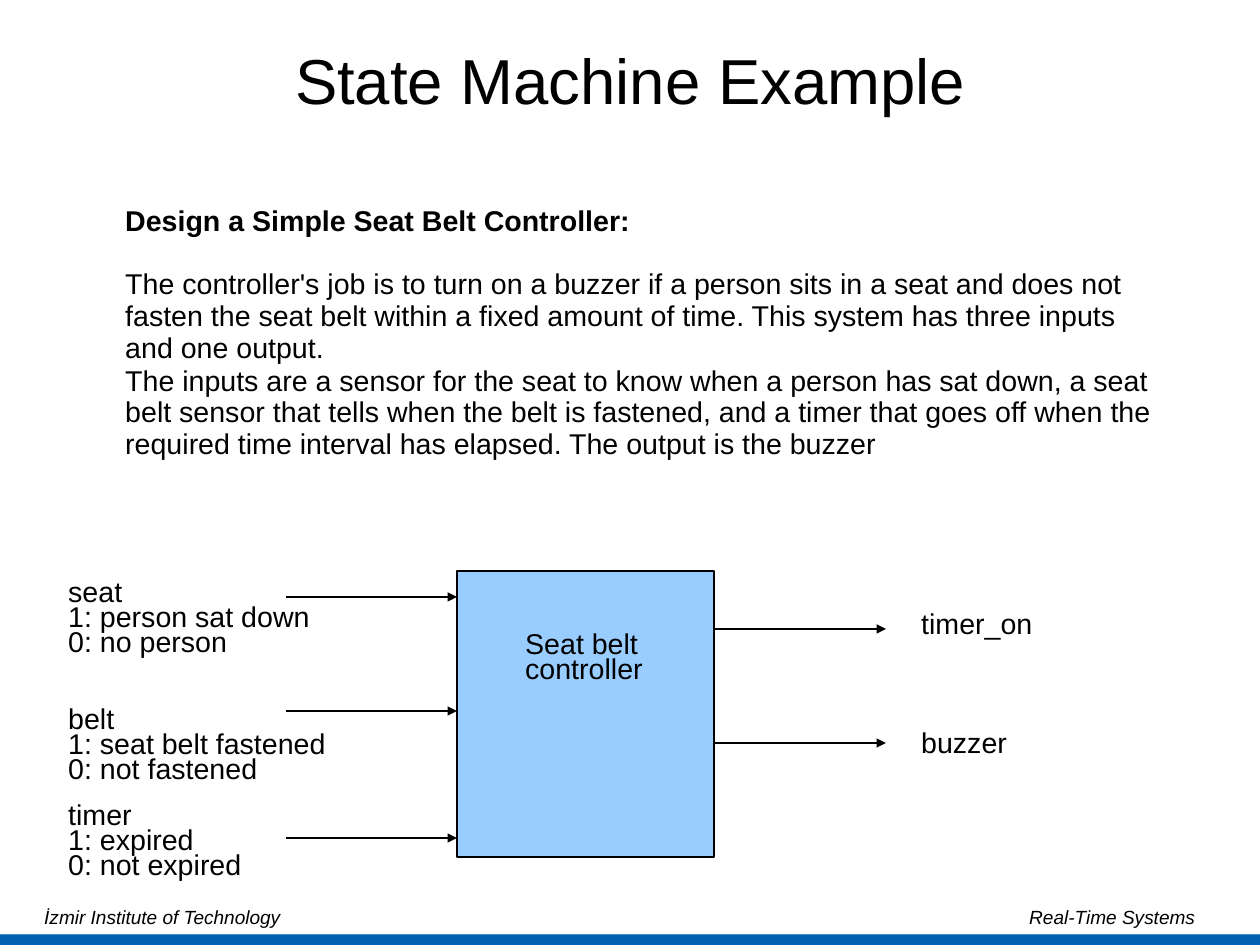
from lxml.etree import SubElement
from pptx import Presentation
from pptx.dml.color import RGBColor
from pptx.enum.shapes import MSO_CONNECTOR, MSO_SHAPE
from pptx.enum.text import MSO_ANCHOR, MSO_AUTO_SIZE, PP_ALIGN
from pptx.oxml.ns import qn
from pptx.util import Emu, Pt

COLORS = {"text": "000000", "line": "000000", "block": "99CCFF", "bar": "0062B1"}
FONT = "Arial"


def px(length):
    return Emu(length * 8000)


def color(name):
    return RGBColor.from_string(COLORS[name])


def write(paragraph, text, size=18, bold=False, italic=False, spacing=0.72,
          before=0.0, after=0.1, align=PP_ALIGN.LEFT, right_tab=None):
    paragraph.text = text
    paragraph.alignment = align
    paragraph.line_spacing = spacing
    paragraph.space_before = Pt(before)
    paragraph.space_after = Pt(after)
    if right_tab:
        stops = SubElement(paragraph._p.get_or_add_pPr(), qn("a:tabLst"))
        SubElement(stops, qn("a:tab"), pos=str(px(right_tab)), algn="r")
    font = paragraph.font
    font.name = FONT
    font.size = Pt(size)
    font.bold = bold
    font.italic = italic
    font.color.rgb = color("text")


class Diagram:
    def __init__(self, slide):
        self.slide = slide
        self.shapes = slide.shapes

    def title(self, text, left, top, width, height):
        heading = self.shapes.title
        heading.left, heading.top = px(left), px(top)
        heading.width, heading.height = px(width), px(height)
        frame = heading.text_frame
        frame.margin_left = frame.margin_right = 0
        frame.margin_top = frame.margin_bottom = 0
        frame.vertical_anchor = MSO_ANCHOR.MIDDLE
        frame.auto_size = MSO_AUTO_SIZE.NONE
        write(frame.paragraphs[0], text, size=40, align=PP_ALIGN.CENTER)

    def box(self, kind, left, top, width, height, fill, line):
        box = self.shapes.add_shape(kind, px(left), px(top), px(width), px(height))
        box.shadow.inherit = False
        box.fill.solid()
        box.fill.fore_color.rgb = color(fill)
        box.line.color.rgb = color(line)
        box.line.width = Pt(0.75)
        return box

    def text(self, paragraphs, left, top, width, height, **style):
        area = self.shapes.add_textbox(px(left), px(top), px(width), px(height))
        frame = area.text_frame
        frame.word_wrap = True
        for index, (words, own_style) in enumerate(paragraphs):
            paragraph = frame.add_paragraph() if index else frame.paragraphs[0]
            before = 0.1 if index else 0
            write(paragraph, words, **{"before": before, **style, **own_style})

    def label(self, lines, left, top, width, height):
        self.text([(line, {}) for line in lines], left, top, width, height)

    def arrow(self, start, end, y):
        arrow = self.shapes.add_connector(
            MSO_CONNECTOR.STRAIGHT, px(start), px(y), px(end), px(y))
        arrow.line.color.rgb = color("line")
        arrow.line.width = Pt(0.75)
        SubElement(arrow.line._get_or_add_ln(), qn("a:tailEnd"), type="triangle")
        SubElement(arrow._element.spPr, qn("a:effectLst"))


def main():
    deck = Presentation()
    deck.slide_width, deck.slide_height = px(1260), px(945)
    diagram = Diagram(deck.slides.add_slide(deck.slide_layouts[5]))

    footer_bar = diagram.box(MSO_SHAPE.ROUNDED_RECTANGLE, 0, 935, 1260, 10, "bar", "bar")
    footer_bar.adjustments[0] = 0.02
    diagram.title("State Machine Example", 93, 35, 1074, 107)

    task = [
        ("Design a Simple Seat Belt Controller:", {"bold": True}),
        ("The controller's job is to turn on a buzzer if a person sits in a seat "
         "and does not fasten the seat belt within a fixed amount of time. "
         "This system has three inputs and one output.", {"before": 20}),
        ("The inputs are a sensor for the seat to know when a person has sat down, "
         "a seat belt sensor that tells when the belt is fastened, and a timer that "
         "goes off when the required time interval has elapsed. "
         "The output is the buzzer", {}),
    ]
    diagram.text(task, 114, 200, 1057, 267, spacing=0.93)

    diagram.box(MSO_SHAPE.RECTANGLE, 457, 571, 257, 286, "block", "line")

    inputs = [
        (597, 577, 286, ["seat", "1: person sat down", "0: no person"]),
        (711, 704, 286, ["belt", "1: seat belt fastened", "0: not fastened"]),
        (838, 800, 200, ["timer", "1: expired", "0: not expired"]),
    ]
    for arrow_y, label_top, label_width, lines in inputs:
        diagram.arrow(286, 457, arrow_y)
        diagram.label(lines, 57, label_top, label_width, 93)

    outputs = [(629, 609, "timer_on"), (743, 728, "buzzer")]
    for arrow_y, label_top, signal in outputs:
        diagram.arrow(714, 886, arrow_y)
        diagram.label([signal], 910, label_top, 171, 43)

    diagram.label(["Seat belt", "controller"], 514, 629, 143, 67)

    footer = "İzmir Institute of Technology\tReal-Time Systems"
    diagram.text([(footer, {})], 33, 902, 1200, 40, size=12, italic=True,
                 spacing=0.93, after=1.1, right_tab=1151)

    deck.save("out.pptx")


if __name__ == "__main__":
    main()
